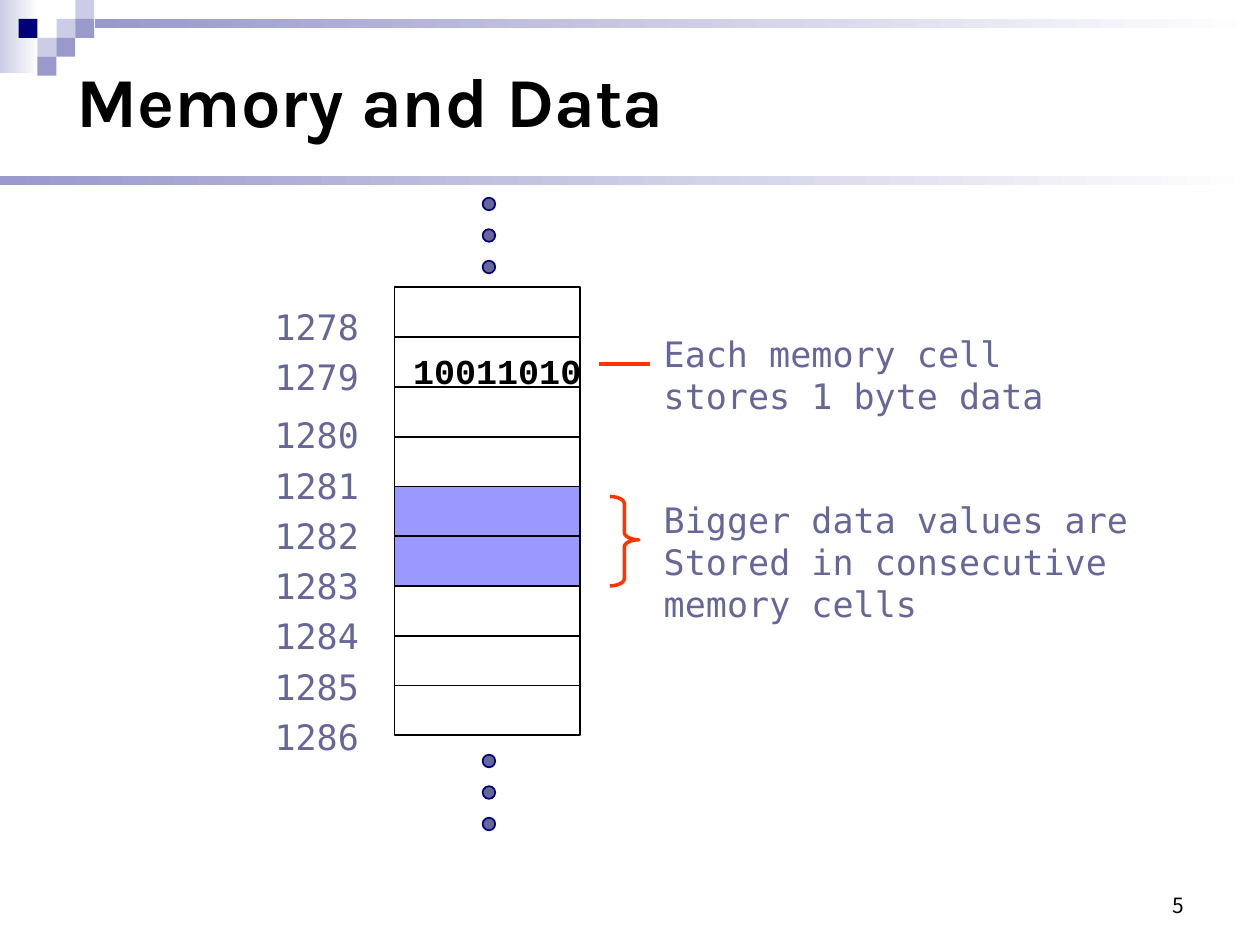
from lxml.etree import SubElement
from pptx import Presentation
from pptx.dml.color import RGBColor
from pptx.enum.shapes import MSO_CONNECTOR, MSO_SHAPE
from pptx.enum.text import MSO_ANCHOR, PP_ALIGN
from pptx.oxml.ns import qn
from pptx.util import Pt

COLORS = {
    "black": "000000", "white": "FFFFFF", "navy": "00007D",
    "lavender": "9999CC", "pale": "CCCCE6", "slate": "666699",
    "highlight": "9999FF", "accent": "FF3300",
}
MONO = "DejaVu Sans Mono"


def rgb(name):
    return RGBColor.from_string(COLORS[name])


class Deck:
    def __init__(self, slide):
        self.shapes = slide.shapes

    def shape(self, kind, x, y, w, h, fill=None, line=None, weight=1):
        sp = self.shapes.add_shape(kind, Pt(x), Pt(y), Pt(w), Pt(h))
        sp.shadow.inherit = False
        if fill:
            sp.fill.solid()
            sp.fill.fore_color.rgb = rgb(fill)
        else:
            sp.fill.background()
        if line:
            sp.line.color.rgb = rgb(line)
            sp.line.width = Pt(weight)
        else:
            sp.line.fill.background()
        return sp

    def fade(self, x, y, w, h, start):
        """Bar that fades from a colour to white, left to right."""
        sp = self.shape(MSO_SHAPE.RECTANGLE, x, y, w, h)
        sp.fill.gradient()
        sp.fill.gradient_angle = 0
        for stop, color, pos in zip(sp.fill.gradient_stops, (start, "white"), (0, 1)):
            stop.color.rgb = rgb(color)
            stop.position = pos

    def text(self, lines, x, y, w, h, size=20, font=MONO, color="slate", bold=False,
             align=PP_ALIGN.LEFT, anchor=MSO_ANCHOR.TOP, wrap=True, gap=0):
        tf = self.shapes.add_textbox(Pt(x), Pt(y), Pt(w), Pt(h)).text_frame
        tf.word_wrap = wrap
        tf.vertical_anchor = anchor
        for i, line in enumerate(lines):
            p = tf.paragraphs[0] if i == 0 else tf.add_paragraph()
            p.text = line
            p.alignment = align
            p.space_before = Pt(gap if i else 0)
            p.font.size = Pt(size)
            p.font.name = font
            p.font.bold = bold
            p.font.color.rgb = rgb(color)
        return tf

    def line(self, x1, y1, x2, y2, color, weight):
        cn = self.shapes.add_connector(
            MSO_CONNECTOR.STRAIGHT, Pt(x1), Pt(y1), Pt(x2), Pt(y2))
        cn.line.color.rgb = rgb(color)
        cn.line.width = Pt(weight)
        SubElement(cn._element.spPr, qn("a:effectLst"))


def main():
    prs = Presentation()
    prs.slide_width, prs.slide_height = Pt(720), Pt(540)
    deck = Deck(prs.slides.add_slide(prs.slide_layouts[6]))

    # Corner decoration and rules
    deck.fade(0, 0, 22.3, 41.8, "pale")
    deck.fade(54, 10.8, 666, 5.4, "lavender")
    tile = 10.8
    for col, row, color in [
        (2, 1, "pale"), (3, 0, "pale"), (3, 1, "lavender"), (1, 2, "pale"),
        (0, 1, "navy"), (2, 2, "lavender"), (1, 3, "lavender"),
    ]:
        if color == "pale" and (col, row) == (2, 1):
            deck.shape(MSO_SHAPE.RECTANGLE, 32.4, 10.8, tile, tile, color)
            continue
        deck.shape(MSO_SHAPE.RECTANGLE, 10.6 + col * tile, row * tile, tile, tile, color)
    deck.fade(0, 100.3, 720, 5.4, "lavender")

    # Title and slide number
    deck.text(["Memory and Data"], 36.7, 20.2, 648, 73.4, size=40, font="Karla",
              color="black", bold=True, anchor=MSO_ANCHOR.MIDDLE)
    deck.text(["5"], 516.2, 491.8, 167.8, 36, size=12, font="Noto Sans CJK KR",
              color="black", align=PP_ALIGN.RIGHT, anchor=MSO_ANCHOR.BOTTOM)

    # Continuation dots above and below the memory column
    for top in (113, 431.3):
        for i in range(3):
            deck.shape(MSO_SHAPE.OVAL, 275.8, top + 18 * i, 7.2, 7.2, "slate", "navy")

    # Memory cells and their addresses
    addresses = range(1278, 1287)
    pitch = 28.45
    for i, address in enumerate(addresses):
        fill = "highlight" if address in (1282, 1283) else None
        deck.shape(MSO_SHAPE.RECTANGLE, 225.5, 164.2 + i * pitch, 106, pitch, fill, "black")
    tf = deck.text([str(a) for a in addresses], 149.8, 170.8, 64.8, 265.7,
                   wrap=False, gap=4.7)
    tf.paragraphs[2].line_spacing = 1.2
    deck.text(["10011010"], 229, 196, 111, 31, font="Courier New", color="black",
              bold=True, wrap=False)

    # Note on a single cell
    deck.line(342, 208.1, 371.5, 208.1, "accent", 2)
    deck.text(["Each memory cell stores 1 byte data"], 372.2, 186.5, 239.8, 55.4)

    # Note on consecutive cells
    brace = deck.shape(MSO_SHAPE.RIGHT_BRACE, 348.5, 283.7, 16.6, 51.1,
                       line="accent", weight=2)
    brace.adjustments[0] = 0.25
    brace.adjustments[1] = 0.484
    deck.text(["Bigger data values are", "Stored in consecutive memory cells"],
              372.2, 281.5, 331.9, 55.4)

    prs.save("out.pptx")


if __name__ == "__main__":
    main()
